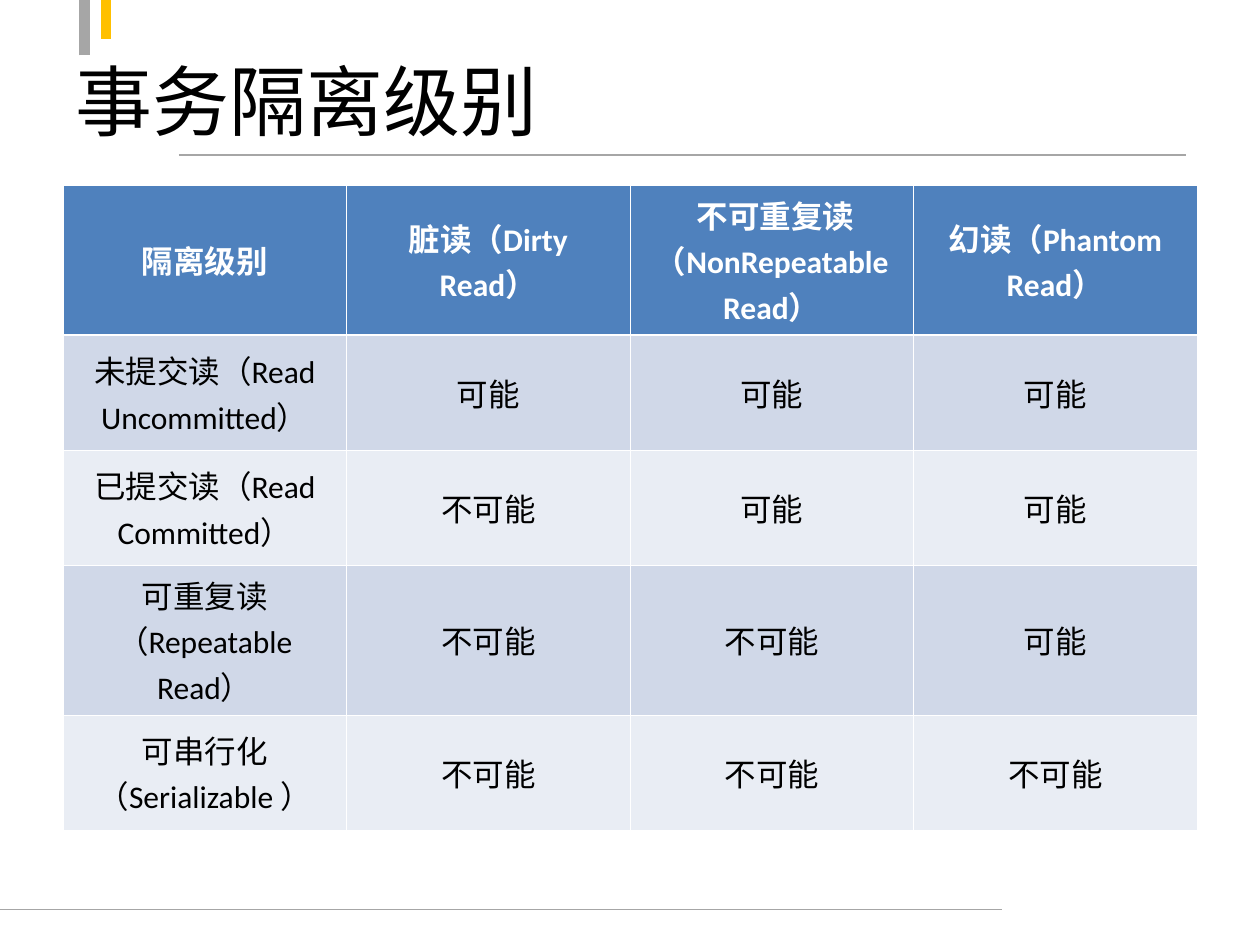
import pptx
import pptx.dml.color
import pptx.enum.shapes
import pptx.enum.text
import pptx.oxml
import pptx.oxml.ns
import pptx.util

Pt = pptx.util.Pt
ANCHOR_MIDDLE = pptx.enum.text.MSO_ANCHOR.MIDDLE
ALIGN = pptx.enum.text.PP_ALIGN
CJK_FONT = "Noto Sans CJK SC"
GREY, GOLD = "A6A6A6", "FFC000"
HEADER_FILL, BAND_FILLS = "4F81BD", ("D0D8E8", "E9EDF4")
HAIRLINE, HEADER_RULE = 0.45, 1.5

ISOLATION_ROWS = [
    ("隔离级别", "脏读（Dirty Read）", " 不可重复读（NonRepeatable Read）", "幻读（Phantom Read）"),
    ("未提交读（Read Uncommitted）", "可能", "可能", "可能"),
    ("已提交读（Read Committed）", "不可能", "可能", "可能"),
    ("可重复读（Repeatable Read）", "不可能", "不可能", "可能"),
    ("可串行化（Serializable ）", "不可能", "不可能", "不可能"),
]
ROW_HEIGHTS = (85.7, 65.7, 65.7, 85.7, 65.7)


def colour(hex_string):
    """Turn a hex string into a colour."""
    return pptx.dml.color.RGBColor.from_string(hex_string)


def write_text(frame, text, size=18, font="Calibri", fill="000000", bold=False, align=ALIGN.CENTER):
    """Write one formatted paragraph into a text frame."""
    frame.word_wrap = True
    paragraph = frame.paragraphs[0]
    paragraph.alignment = align
    run = paragraph.add_run()
    run.text = text
    run.font.size, run.font.name, run.font.bold = Pt(size), font, bold
    run.font.color.rgb = colour(fill)
    east_asian = pptx.oxml.parse_xml(f'<a:ea {pptx.oxml.ns.nsdecls("a")} typeface="{CJK_FONT}"/>')
    run.font._element.find(pptx.oxml.ns.qn("a:latin")).addnext(east_asian)


def add_rule(slide, start, end, line_colour, width):
    """Draw a straight line between two points."""
    rule = slide.shapes.add_connector(
        pptx.enum.shapes.MSO_CONNECTOR.STRAIGHT, *(Pt(value) for value in start + end))
    rule.line.color.rgb = colour(line_colour)
    rule.line.width = Pt(width)
    rule._element.spPr.append(pptx.oxml.parse_xml(f'<a:effectLst {pptx.oxml.ns.nsdecls("a")}/>'))


def add_decoration(slide, width, height):
    """Draw the top tabs, the title rule and the footer rule."""
    add_rule(slide, (0, height - 20.2), (width - 147.6, height - 20.2), GREY, 0.75)
    add_rule(slide, (48.2, 31.7), (48.2, 0), GREY, 6)
    add_rule(slide, (60.5, 0), (60.5, 22.3), GOLD, 6)
    add_rule(slide, (102.2, 88.6), (width - 42.5, 88.6), GREY, 0.75)


def fill_title(slide, text, left, top, width, height):
    """Place and format the title placeholder."""
    title = slide.shapes.title
    title.left, title.top, title.width, title.height = map(Pt, (left, top, width, height))
    title.text_frame.vertical_anchor = ANCHOR_MIDDLE
    write_text(title.text_frame, text, size=44, font=CJK_FONT, align=ALIGN.LEFT)


def set_borders(cell, top, bottom):
    """Give a cell white borders with the given top and bottom widths."""
    properties = cell._tc.get_or_add_tcPr()
    widths = {"lnL": HAIRLINE, "lnR": HAIRLINE, "lnT": top, "lnB": bottom}
    for position, (side, width) in enumerate(widths.items()):
        properties.insert(position, pptx.oxml.parse_xml(
            f'<a:{side} {pptx.oxml.ns.nsdecls("a")} w="{Pt(width)}"><a:solidFill>'
            f'<a:srgbClr val="FFFFFF"/></a:solidFill></a:{side}>'))


def add_isolation_table(slide, left, top, width):
    """Build the table of isolation levels and read anomalies."""
    column_count = len(ISOLATION_ROWS[0])
    table = slide.shapes.add_table(
        len(ISOLATION_ROWS), column_count, Pt(left), Pt(top), Pt(width), Pt(sum(ROW_HEIGHTS))).table
    for column in table.columns:
        column.width = Pt(width / column_count)
    for row_index, (labels, row_height) in enumerate(zip(ISOLATION_ROWS, ROW_HEIGHTS)):
        is_header = row_index == 0
        table.rows[row_index].height = Pt(row_height)
        for column_index, label in enumerate(labels):
            cell = table.cell(row_index, column_index)
            cell.vertical_anchor = ANCHOR_MIDDLE
            cell.fill.solid()
            cell.fill.fore_color.rgb = colour(HEADER_FILL if is_header else BAND_FILLS[(row_index - 1) % 2])
            set_borders(cell, HEADER_RULE if row_index == 1 else HAIRLINE,
                        HEADER_RULE if is_header else HAIRLINE)
            write_text(cell.text_frame, label, fill="FFFFFF" if is_header else "000000", bold=is_header)


def main():
    """Build and save the slide."""
    width, height, margin = 720, 540, 36
    presentation = pptx.Presentation()
    presentation.slide_width, presentation.slide_height = Pt(width), Pt(height)
    slide = presentation.slides.add_slide(presentation.slide_layouts[5])
    add_decoration(slide, width, height)
    fill_title(slide, "事务隔离级别", margin, 12.2, width - 2 * margin, 90)
    add_isolation_table(slide, margin, 105.8, width - 2 * margin)
    presentation.save("out.pptx")


if __name__ == "__main__":
    main()
